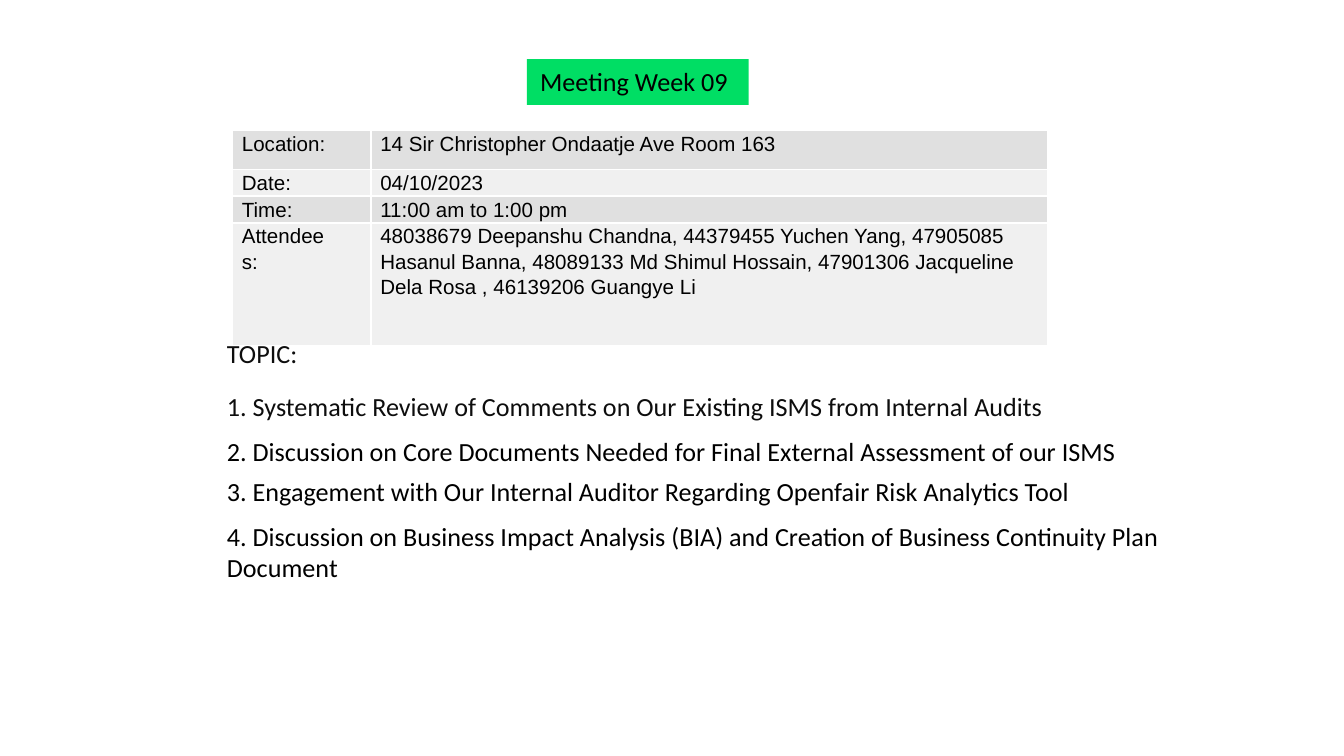
from dataclasses import dataclass

from lxml.etree import SubElement
from pptx import Presentation
from pptx.dml.color import RGBColor
from pptx.enum.shapes import MSO_SHAPE
from pptx.enum.text import MSO_ANCHOR, PP_ALIGN
from pptx.oxml.ns import qn
from pptx.util import Inches, Pt

BLACK, DARK_GREY, WHITE, GREEN = "000000", "0D0D0D", "FFFFFF", "00DE64"
ROW_FILLS = ("E0E0E0", "F0F0F0")
TOPIC_LEFT = 1.59


@dataclass
class TopicBox:
    top: float
    width: float
    height: float
    lines: list[str]
    color: str = BLACK
    line_spacing: float = 1.0


@dataclass
class DetailRow:
    label: str
    value: str
    height: float
    label_margin_right: float = 0.07


DETAILS = [
    DetailRow("Location:", "14 Sir Christopher Ondaatje Ave Room 163", 0.29),
    DetailRow("Date:", "04/10/2023", 0.2),
    DetailRow("Time:", "11:00 am to 1:00 pm", 0.2),
    DetailRow("Attendees:", "48038679 Deepanshu Chandna, 44379455 Yuchen Yang, "
              "47905085 Hasanul Banna, 48089133 Md Shimul Hossain, "
              "47901306 Jacqueline Dela Rosa , 46139206 Guangye Li", 0.91, 0.3),
]
COLUMN_WIDTHS = (1.03, 5.04)
CELL_MARGIN = 0.07

TOPICS = [
    TopicBox(2.44, 6.78, 0.75, [
        "TOPIC:",
        "1. Systematic Review of Comments on Our Existing ISMS from Internal Audits",
    ], DARK_GREY, 1.1),
    TopicBox(3.19, 7.43, 0.34, [
        "2. Discussion on Core Documents Needed for Final External Assessment of our ISMS"]),
    TopicBox(3.49, 7.02, 0.34, [
        "3. Engagement with Our Internal Auditor Regarding Openfair Risk Analytics Tool"]),
    TopicBox(3.82, 7.43, 0.57, [
        "4. Discussion on Business Impact Analysis (BIA) and Creation of "
        "Business Continuity Plan Document"]),
]


def rgb(color: str) -> RGBColor:
    return RGBColor.from_string(color)


def write_text(text_frame, lines: list[str], *, font: str = "Calibri", size: float = 14,
               color: str = BLACK, line_spacing: float = 1.0, space_before: float = 0) -> None:
    text_frame.word_wrap = True
    for index, line in enumerate(lines):
        paragraph = text_frame.add_paragraph() if index else text_frame.paragraphs[0]
        paragraph.alignment = PP_ALIGN.LEFT
        paragraph.line_spacing = line_spacing
        if index:
            paragraph.space_before = Pt(space_before)
        run = paragraph.add_run()
        run.text = line
        run.font.name = font
        run.font.size = Pt(size)
        run.font.color.rgb = rgb(color)


def set_borders(cell, color: str, width: float) -> None:
    properties = cell._tc.get_or_add_tcPr()
    for position, side in enumerate(("a:lnL", "a:lnR", "a:lnT", "a:lnB")):
        line = SubElement(properties, qn(side), w=str(Pt(width)))
        fill = SubElement(line, qn("a:solidFill"))
        SubElement(fill, qn("a:srgbClr"), val=color)
        # Borders come before the cell fill in the schema
        properties.remove(line)
        properties.insert(position, line)


def add_title(slide, text: str) -> None:
    shape = slide.shapes.add_shape(
        MSO_SHAPE.RECTANGLE, Inches(3.92), Inches(0.44), Inches(1.65), Inches(0.34))
    shape.shadow.inherit = False
    shape.fill.solid()
    shape.fill.fore_color.rgb = rgb(GREEN)
    shape.line.fill.background()
    shape.text_frame.vertical_anchor = MSO_ANCHOR.TOP
    write_text(shape.text_frame, [text])


def add_details(slide, rows: list[DetailRow]) -> None:
    table = slide.shapes.add_table(
        len(rows), len(COLUMN_WIDTHS), Inches(1.73), Inches(0.97),
        Inches(sum(COLUMN_WIDTHS)), Inches(sum(row.height for row in rows))).table
    for column, width in zip(table.columns, COLUMN_WIDTHS):
        column.width = Inches(width)
    for row_index, row in enumerate(rows):
        table.rows[row_index].height = Inches(row.height)
        contents = ((row.label, row.label_margin_right), (row.value, CELL_MARGIN))
        for column_index, (text, margin_right) in enumerate(contents):
            cell = table.cell(row_index, column_index)
            cell.margin_left = Inches(CELL_MARGIN)
            cell.margin_right = Inches(margin_right)
            cell.margin_top = cell.margin_bottom = 0
            cell.fill.solid()
            cell.fill.fore_color.rgb = rgb(ROW_FILLS[row_index % 2])
            set_borders(cell, WHITE, 1)
            write_text(cell.text_frame, [text], font="Arial", size=11, line_spacing=1.1)


def add_topic(slide, topic: TopicBox) -> None:
    box = slide.shapes.add_textbox(
        Inches(TOPIC_LEFT), Inches(topic.top), Inches(topic.width), Inches(topic.height))
    write_text(box.text_frame, topic.lines, color=topic.color,
               line_spacing=topic.line_spacing, space_before=10)


def main() -> None:
    # Widescreen 16:9 slide
    presentation = Presentation()
    presentation.slide_width = Inches(10)
    presentation.slide_height = Inches(10) * 9 // 16
    slide = presentation.slides.add_slide(presentation.slide_layouts[6])

    # Heading and meeting details
    add_title(slide, "Meeting Week 09")
    add_details(slide, DETAILS)

    # Agenda
    for topic in TOPICS:
        add_topic(slide, topic)

    presentation.save("out.pptx")


if __name__ == "__main__":
    main()
